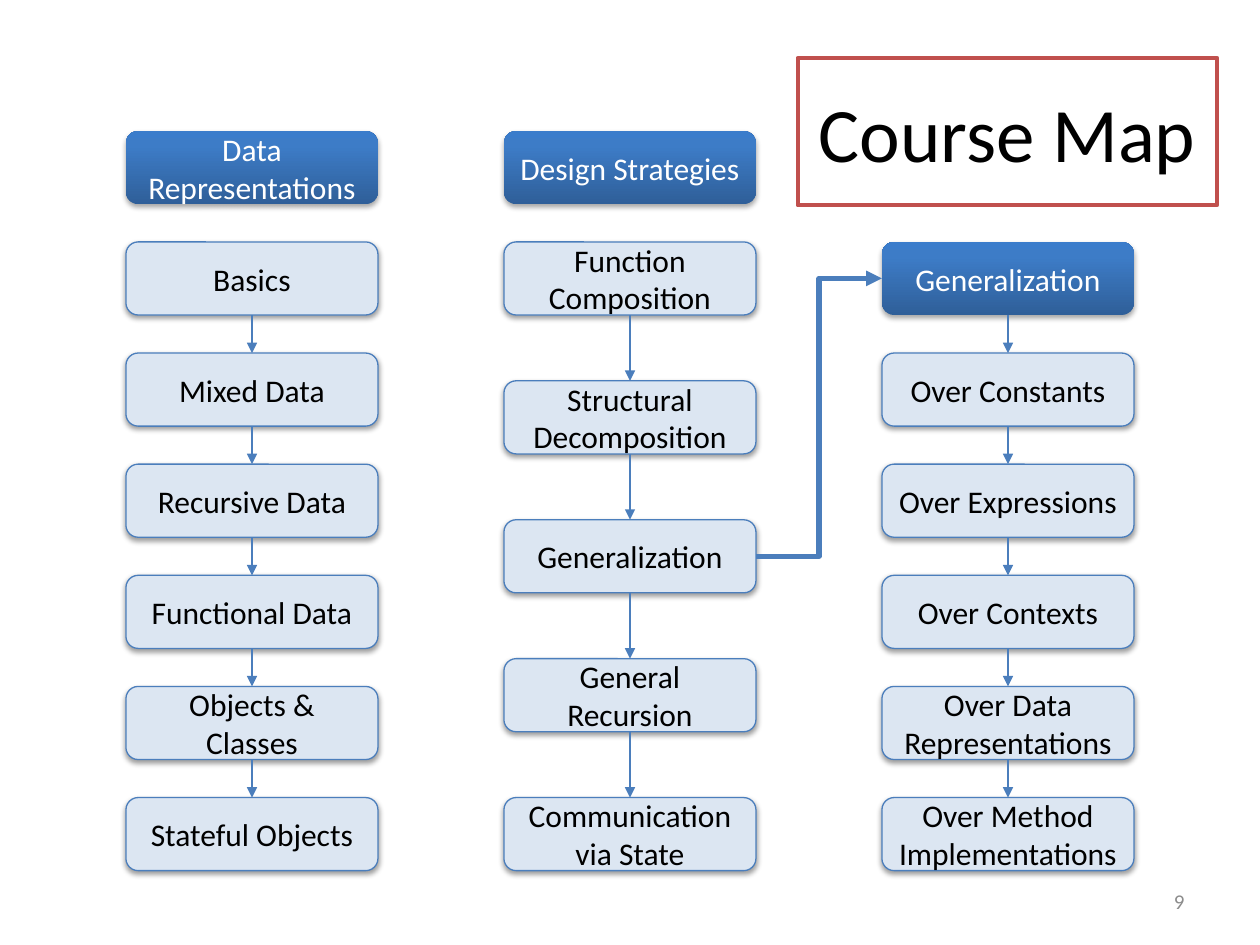
from lxml import etree
from pptx import Presentation
from pptx.dml.color import RGBColor
from pptx.enum.shapes import MSO_CONNECTOR, MSO_SHAPE
from pptx.enum.text import MSO_ANCHOR, MSO_AUTO_SIZE, PP_ALIGN
from pptx.oxml import parse_xml
from pptx.oxml.ns import nsdecls, qn
from pptx.util import Inches, Pt

ROUNDED = MSO_SHAPE.ROUNDED_RECTANGLE
STRAIGHT, ELBOW = MSO_CONNECTOR.STRAIGHT, MSO_CONNECTOR.ELBOW
CENTER, RIGHT = PP_ALIGN.CENTER, PP_ALIGN.RIGHT
MIDDLE = MSO_ANCHOR.MIDDLE
NO_AUTOFIT = MSO_AUTO_SIZE.NONE
BOTTOM_SIDE, TOP_SIDE, LEFT_SIDE, RIGHT_SIDE = 2, 0, 1, 3

BLUE, PALE, RED = "4B7EBC", "DCE6F2", "C0504D"
BLACK, WHITE, GRAY = "000000", "FFFFFF", "8C8C8C"
HEADER_STOPS = [(0, "2F5F99"), (80, "3D7CC7"), (100, "3A7CCB")]

BOX_WIDTH, BOX_HEIGHT = 2, 0.58
FIRST_ROW, LAST_ROW = 1.92, 6.33
HEADER_TOP = 1.04

DATA_TOPICS = ["Basics", "Mixed Data", "Recursive Data", "Functional Data",
               "Objects & Classes", "Stateful Objects"]
STRATEGIES = ["Function Composition", "Structural Decomposition",
              "Generalization", "General Recursion", "Communication via State"]
GENERALIZATIONS = ["Generalization", "Over Constants", "Over Expressions",
                   "Over Contexts", "Over Data Representations",
                   "Over Method Implementations"]


def color(value):
    return RGBColor.from_string(value)


def write_text(shape, text, size, text_color, alignment=CENTER):
    frame = shape.text_frame
    frame_format = {"word_wrap": True, "auto_size": NO_AUTOFIT,
                    "vertical_anchor": MIDDLE}
    for name, value in frame_format.items():
        setattr(frame, name, value)
    paragraph = frame.paragraphs[0]
    paragraph.text = text
    paragraph.alignment = alignment
    for name, value in {"size": Pt(size), "name": "Calibri"}.items():
        setattr(paragraph.font, name, value)
    paragraph.font.color.rgb = color(text_color)


def add_shadow(shape, opacity, distance):
    shape.shadow.inherit = False
    effects = shape._element.spPr.find(qn("a:effectLst"))
    effects.append(parse_xml(
        f'<a:outerShdw {nsdecls("a")} blurRad="{Pt(3.1)}" dist="{Pt(distance)}" '
        f'dir="5400000" rotWithShape="0"><a:srgbClr val="{BLACK}">'
        f'<a:alpha val="{opacity * 1000}"/></a:srgbClr></a:outerShdw>'))


def fill_gradient(shape, stops):
    stop_xml = "".join(
        f'<a:gs pos="{position * 1000}"><a:srgbClr val="{value}"/></a:gs>'
        for position, value in stops)
    geometry = shape._element.spPr.find(qn("a:prstGeom"))
    geometry.addnext(parse_xml(
        f'<a:gradFill {nsdecls("a")} rotWithShape="1"><a:gsLst>{stop_xml}</a:gsLst>'
        '<a:lin ang="16200000" scaled="0"/></a:gradFill>'))


def add_box(slide, left, top, text, header=False):
    box = slide.shapes.add_shape(ROUNDED, Inches(left), Inches(top),
                                 Inches(BOX_WIDTH), Inches(BOX_HEIGHT))
    if header:
        fill_gradient(box, HEADER_STOPS)
        box.line.fill.background()
        add_shadow(box, 35, 1.8)
    else:
        box.fill.solid()
        box.fill.fore_color.rgb = color(PALE)
        box.line.color.rgb = color(BLUE)
        box.line.width = Pt(0.75)
        add_shadow(box, 38, 1.6)
    write_text(box, text, 18, WHITE if header else BLACK)
    return box


def add_arrow(slide, kind, start, start_side, end, end_side, width):
    arrow = slide.shapes.add_connector(kind, 0, 0, 0, 0)
    arrow.begin_connect(start, start_side)
    arrow.end_connect(end, end_side)
    arrow.line.color.rgb = color(BLUE)
    arrow.line.width = Pt(width)
    etree.SubElement(arrow.line._get_or_add_ln(), qn("a:tailEnd"), type="triangle")
    etree.SubElement(arrow._element.spPr, qn("a:effectLst"))


def add_column(slide, left, labels, first_is_header=False):
    """Spread boxes evenly between the first and last row, joined by arrows."""
    pitch = (LAST_ROW - FIRST_ROW) / (len(labels) - 1)
    boxes = [add_box(slide, left, FIRST_ROW + row * pitch, label,
                     first_is_header and row == 0)
             for row, label in enumerate(labels)]
    for upper, lower in zip(boxes, boxes[1:]):
        add_arrow(slide, STRAIGHT, upper, BOTTOM_SIDE, lower, TOP_SIDE, 0.75)
    return boxes


def format_title(title, text):
    place = {"left": 6.33, "top": 0.46, "width": 3.33, "height": 1.17}
    for name, value in place.items():
        setattr(title, name, Inches(value))
    title._element.spPr.append(parse_xml(
        f'<a:prstGeom {nsdecls("a")} prst="roundRect"><a:avLst/></a:prstGeom>'))
    title.line.color.rgb = color(RED)
    title.line.width = Pt(2.25)
    write_text(title, text, 44, BLACK)


def add_page_number(slide, number):
    box = slide.shapes.add_textbox(Inches(7.17), Inches(6.95),
                                   Inches(2.33), Inches(0.4))
    write_text(box, number, 12, GRAY, RIGHT)


def main():
    presentation = Presentation()
    presentation.slide_width = Inches(10)
    presentation.slide_height = Inches(7.5)
    slide = presentation.slides.add_slide(presentation.slide_layouts[5])
    format_title(slide.shapes.title, "Course Map")

    # Column headers
    add_box(slide, 1, HEADER_TOP, "Data Representations", header=True)
    add_box(slide, 4, HEADER_TOP, "Design Strategies", header=True)

    # Topic columns
    add_column(slide, 1, DATA_TOPICS)
    strategies = add_column(slide, 4, STRATEGIES)
    generalizations = add_column(slide, 7, GENERALIZATIONS, first_is_header=True)

    # Link from the generalization strategy to its own column
    add_arrow(slide, ELBOW, strategies[2], RIGHT_SIDE,
              generalizations[0], LEFT_SIDE, 3)

    add_page_number(slide, "9")
    presentation.save("out.pptx")


if __name__ == "__main__":
    main()
